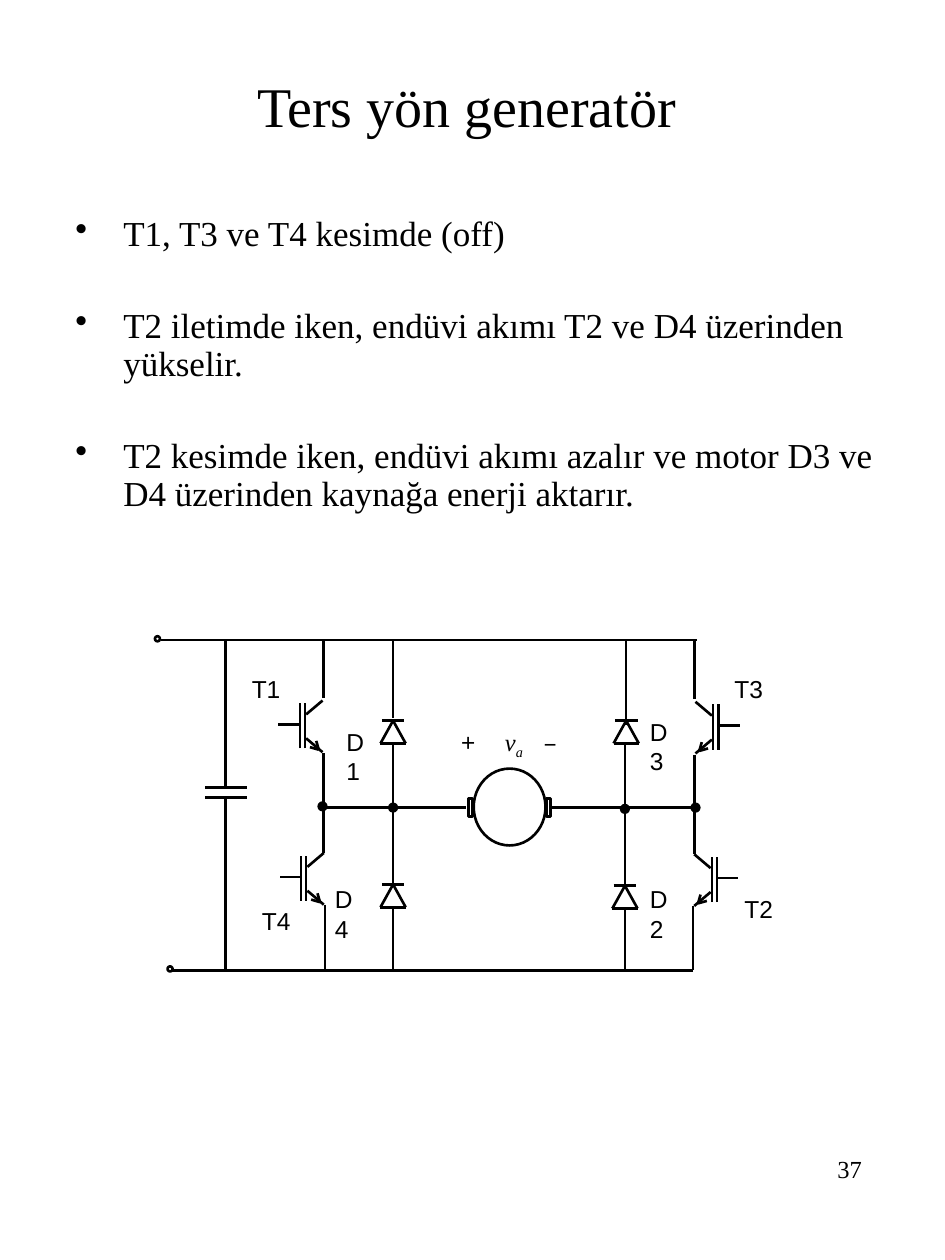
"""Draw the slide on reverse generator mode with its bridge circuit."""
from dataclasses import dataclass

from lxml.etree import SubElement
from pptx import Presentation
from pptx.dml.color import RGBColor
from pptx.enum.shapes import MSO_CONNECTOR, MSO_SHAPE
from pptx.enum.text import MSO_ANCHOR, PP_ALIGN
from pptx.oxml.ns import qn
from pptx.util import Pt

SCALE = 9144


@dataclass(frozen=True)
class Theme:
    black: RGBColor = RGBColor(0, 0, 0)
    white: RGBColor = RGBColor(255, 255, 255)
    serif: str = "Times New Roman"
    sans: str = "Arial"
    mono: str = "Courier New"
    title: int = 32
    body: int = 20
    small: int = 14
    stroke: float = 1.5


class Board:
    def __init__(self, slide, theme):
        self.slide = slide
        self.theme = theme

    def line(self, *ends):
        wire = self.slide.shapes.add_connector(
            MSO_CONNECTOR.STRAIGHT, *(n * SCALE for n in ends))
        wire.line.color.rgb = self.theme.black
        wire.line.width = Pt(self.theme.stroke)
        SubElement(wire._element.spPr, qn("a:effectLst"))

    def shape(self, kind, area, fill):
        shape = self.slide.shapes.add_shape(kind, *(n * SCALE for n in area))
        shape.shadow.inherit = False
        shape.fill.solid()
        shape.fill.fore_color.rgb = fill
        shape.line.color.rgb = self.theme.black
        shape.line.width = Pt(self.theme.stroke)

    def ring(self, x, y, size, fill):
        self.shape(MSO_SHAPE.OVAL, (x, y, size, size), fill)

    def frame(self, area, wrap=True):
        frame = self.slide.shapes.add_textbox(*(n * SCALE for n in area)).text_frame
        frame.word_wrap = wrap
        return frame

    def run(self, para, text, size, font):
        run = para.add_run()
        run.text = text
        run.font.size = Pt(size)
        run.font.name = font
        run.font.color.rgb = self.theme.black
        return run

    def text(self, area, text, size, font, align=PP_ALIGN.LEFT, wrap=True):
        frame = self.frame(area, wrap)
        para = frame.paragraphs[0]
        para.alignment = align
        self.run(para, text, size, font)
        return frame

    def label(self, x, y, text):
        self.text((x, y, 44, 34), text, self.theme.small, self.theme.sans, wrap=False)

    def list(self, area, items, first, gap):
        frame = self.frame(area)
        for i, item in enumerate(items):
            para = frame.add_paragraph() if i else frame.paragraphs[0]
            para.line_spacing = 0.9
            para.space_before = Pt(gap if i else first)
            props = para._p.get_or_add_pPr()
            props.set("marL", str(38 * SCALE))
            props.set("indent", str(-38 * SCALE))
            SubElement(props, qn("a:buChar"), char="•")
            self.run(para, item, self.theme.body, self.theme.serif)

    def volts(self, area, stops):
        theme = self.theme
        para = self.frame(area).paragraphs[0]
        tabs = SubElement(para._p.get_or_add_pPr(), qn("a:tabLst"))
        for stop in stops:
            SubElement(tabs, qn("a:tab"), pos=str(stop * SCALE), algn="l")
        self.run(para, "+\t", theme.small, theme.mono)
        self.run(para, "v", theme.small, theme.serif).font.italic = True
        sub = self.run(para, "a", theme.small, theme.serif)
        sub.font.italic = True
        sub.font._element.set("baseline", "-25000")
        self.run(para, "\t–", theme.small, theme.mono)

    def switch(self, x, y, side):
        parts = [
            (0, 18, 0, -18), (14, 21, 1, 10), (14, -20, 1, -9),
            (-4, 18, -4, -18), (-5, -1, -21, -1),
            (9, 12, 11, 19), (4, 17, 11, 19),
        ]
        for a, b, c, d in parts:
            self.line(x + side * a, y + b, x + side * c, y + d)

    def diode(self, x, y):
        base = y + 18
        self.line(x - 9, y, x + 9, y)
        self.line(x - 10, base, x + 10, base)
        for side in (-10, 10):
            self.line(x + side, base, x, y)


def main():
    deck = Presentation()
    deck.slide_width, deck.slide_height = 750 * SCALE, 1000 * SCALE
    theme = Theme()
    board = Board(deck.slides.add_slide(deck.slide_layouts[6]), theme)

    board.text((538, 911, 156, 67), "37", theme.small, theme.serif, PP_ALIGN.RIGHT)
    head = board.text((33, 0, 675, 167), "Ters yön generatör",
                      theme.title, theme.serif, PP_ALIGN.CENTER)
    head.vertical_anchor = MSO_ANCHOR.MIDDLE
    board.list((50, 167, 675, 283), [
        "T1, T3 ve T4 kesimde (off)",
        "T2 iletimde iken, endüvi akımı T2 ve D4 üzerinden yükselir.",
        "T2 kesimde iken, endüvi akımı azalır ve motor D3 ve D4 üzerinden "
        "kaynağa enerji aktarır.",
    ], first=5, gap=31)

    top, mid, low = 508, 641, 770
    for left, right, y in [(128, 553, top), (135, 550, low),
                           (258, 370, mid), (438, 549, mid),
                           (163, 196, 625), (163, 196, 633)]:
        board.line(left, y, right, y)
    for x, start, end in [
        (179, top, 624), (179, 634, low),
        (257, top, 554), (257, 598, 677), (258, 718, low),
        (312, top, 570), (312, 590, 701), (312, 720, low),
        (497, top, 575), (496, 590, 702), (496, 721, low),
        (551, top, 555), (551, 599, 678), (550, 719, low),
    ]:
        board.line(x, start, x, end)

    for x, y, side in [(242, 576, 1), (243, 697, 1), (566, 577, -1), (565, 698, -1)]:
        board.switch(x, y, side)
    for x, y in [(312, 572), (312, 702), (497, 572), (496, 703)]:
        board.diode(x, y)
    for x, y in [(123, 505), (133, 767)]:
        board.ring(x, y, 4, theme.white)
    for x, y in [(253, 637), (309, 638), (493, 639), (549, 638)]:
        board.ring(x, y, 6, theme.black)

    board.shape(MSO_SHAPE.OVAL, (376, 610, 57, 61), theme.white)
    for x in (372, 434):
        board.shape(MSO_SHAPE.RECTANGLE, (x, 634, 3, 14), theme.white)

    board.volts((356, 572, 100, 42), (35, 65))
    for x, y, name in [
        (190, 530, "T1"), (573, 530, "T3"), (581, 705, "T2"), (198, 714, "T4"),
        (265, 572, "D1"), (256, 697, "D4"), (506, 564, "D3"), (506, 697, "D2"),
    ]:
        board.label(x, y, name)

    deck.save("out.pptx")


if __name__ == "__main__":
    main()
